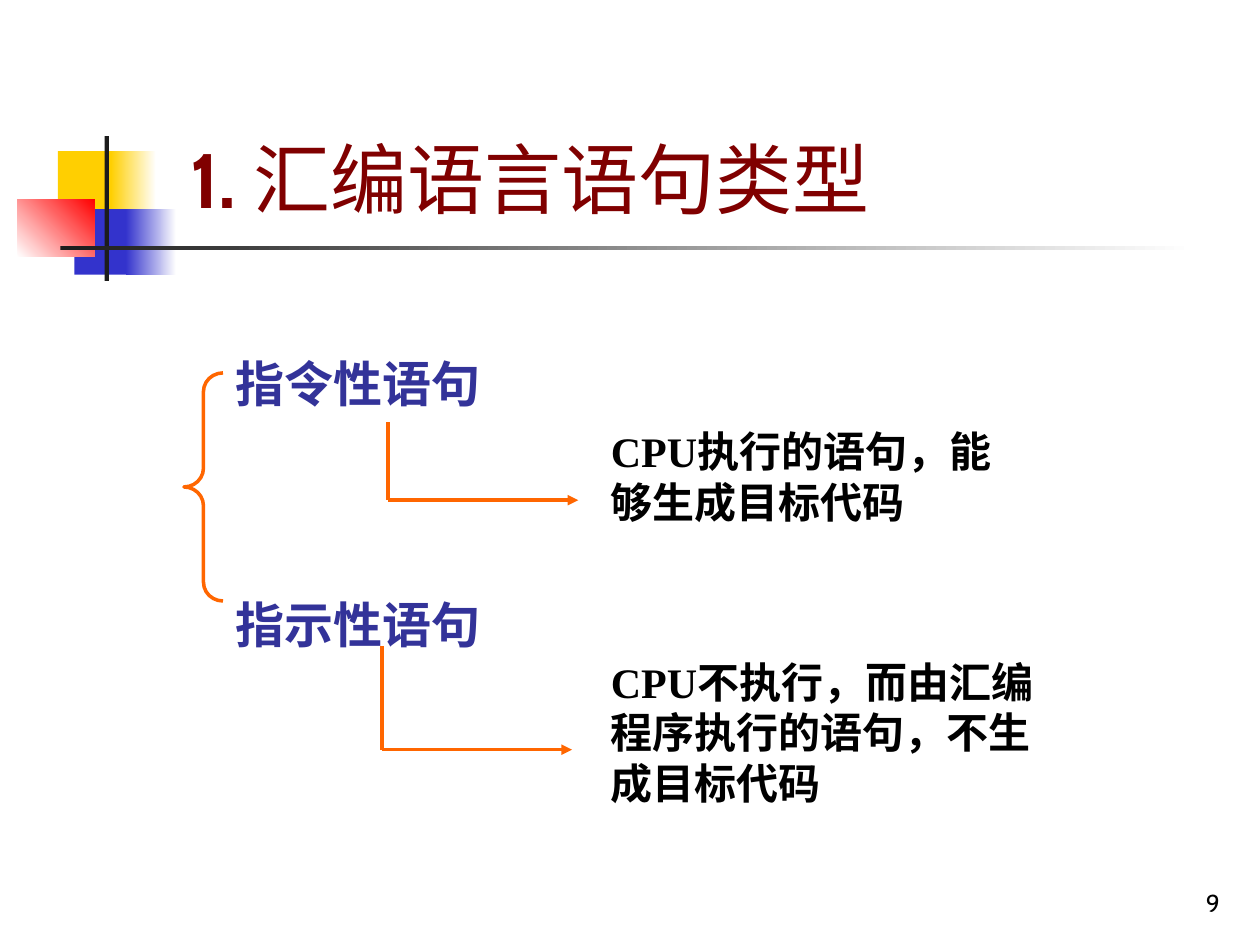
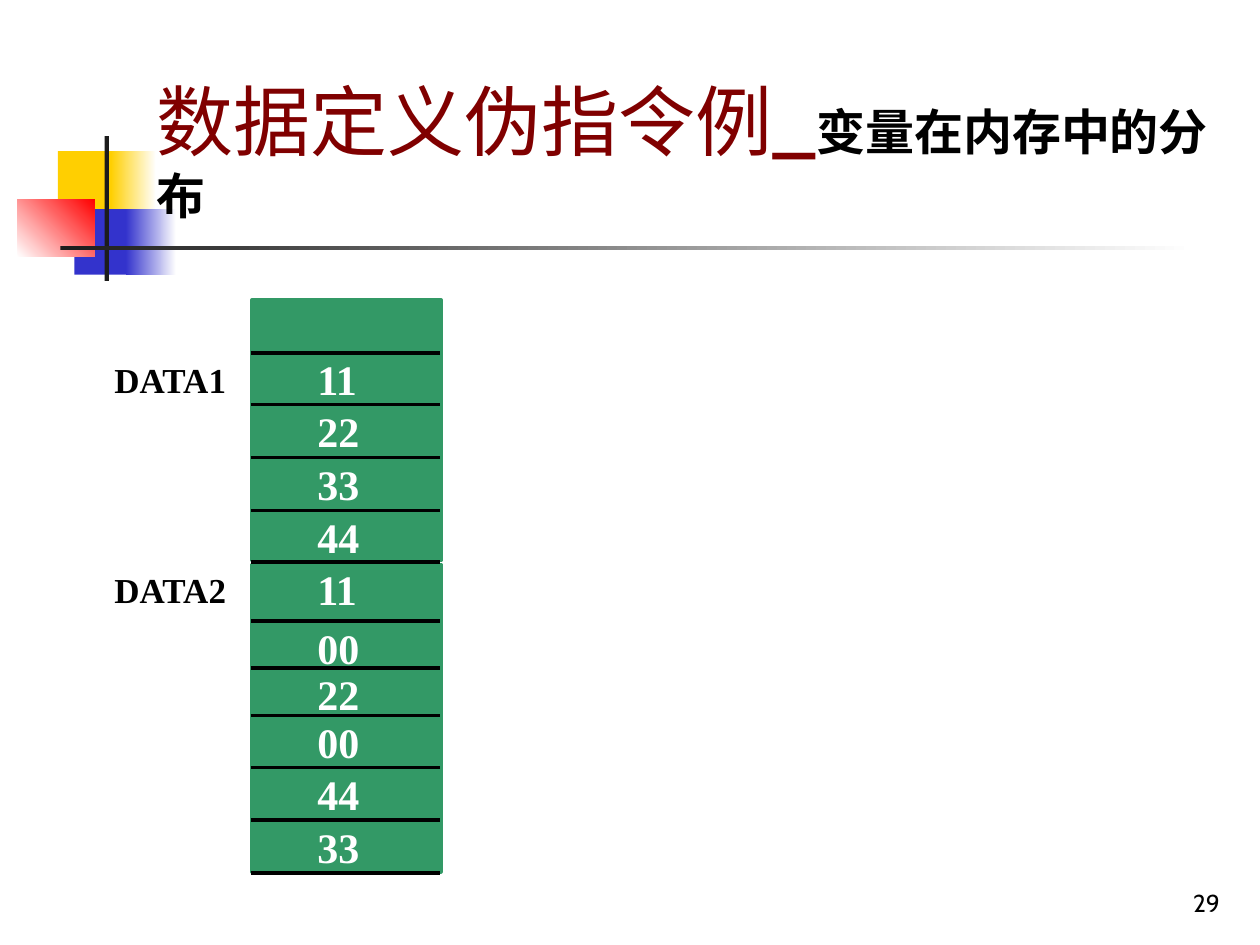
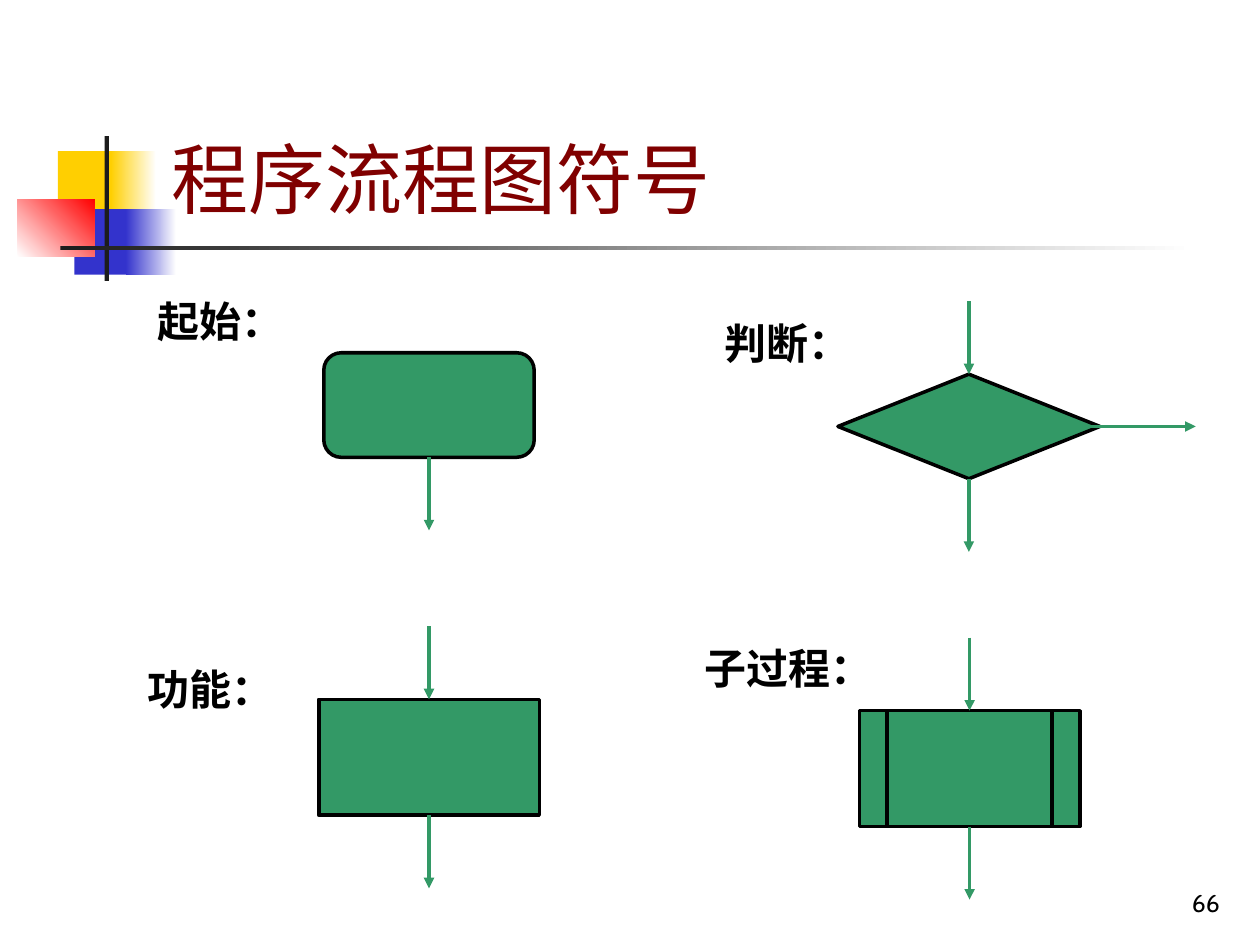
from lxml.etree import SubElement
from pptx import Presentation
from pptx.dml.color import RGBColor
from pptx.enum.shapes import MSO_CONNECTOR, MSO_SHAPE
from pptx.enum.text import MSO_ANCHOR, MSO_AUTO_SIZE, PP_ALIGN
from pptx.oxml.ns import qn
from pptx.util import Inches, Pt

COLUMNS, ROWS = 100, 75
CELL = Inches(0.1)
SANS, SERIF = "Cabin", "Times New Roman"
BLACK = RGBColor(0x00, 0x00, 0x00)
WHITE = RGBColor(0xFF, 0xFF, 0xFF)
MAROON = RGBColor(0x80, 0x00, 0x00)
INDIGO = RGBColor(0x33, 0x33, 0x99)
GREEN = RGBColor(0x33, 0x99, 0x66)
ORANGE = RGBColor(0xFF, 0x66, 0x00)
YELLOW = RGBColor(0xFF, 0xCF, 0x01)
BLUE = RGBColor(0x33, 0x33, 0xCC)
RED = RGBColor(0xFF, 0x00, 0x00)
CHARCOAL = RGBColor(0x1C, 0x1C, 0x1C)
TITLE_LAYOUT, LIST_LAYOUT = 5, 1

MOTIF = [
    ((4.6, 12, 4.8, 5.2), (YELLOW,), 0),
    ((8.8, 12, 3.6, 5.2), (YELLOW, WHITE), 0),
    ((5.9, 16.6, 4.6, 5.2), (BLUE,), 0),
    ((10, 16.6, 4, 5.2), (BLUE, WHITE), 0),
    ((1.4, 15.8, 6.1, 4.6), (WHITE, RED), 45),
    ((8.3, 10.8, 0.35, 11.5), (CHARCOAL,), 0),
    ((4.8, 19.5, 90, 0.35), (CHARCOAL, WHITE), 0),
]


def cells(*counts):
    """Turn grid cells into lengths."""
    return [round(count * CELL) for count in counts]


def add_span(para, text, size=24, color=BLACK, font=SERIF, bold=True):
    """Append one formatted run to a paragraph."""
    span = para.add_run()
    span.text = text
    span.font.size = Pt(size)
    span.font.name = font
    span.font.bold = bold
    span.font.color.rgb = color


def add_label(shapes, box, text, align=PP_ALIGN.LEFT, anchor=MSO_ANCHOR.TOP, **style):
    """Add a wrapping text box holding one paragraph."""
    frame = shapes.add_textbox(*cells(*box)).text_frame
    frame.word_wrap = True
    frame.vertical_anchor = anchor
    para = frame.paragraphs[0]
    para.alignment = align
    add_span(para, text, **style)


def add_figure(shapes, kind, box, fill=None, line=None):
    """Add a preset shape with an optional fill and outline."""
    shape = shapes.add_shape(kind, *cells(*box))
    shape.shadow.inherit = False
    if fill is None:
        shape.fill.background()
    else:
        shape.fill.solid()
        shape.fill.fore_color.rgb = fill
    if line is None:
        shape.line.fill.background()
    else:
        shape.line.color.rgb = line
        shape.line.width = Pt(2)
    return shape


def add_line(shapes, start, end, color, arrow=False):
    """Draw a straight line, with an arrowhead at its end if asked."""
    connector = shapes.add_connector(MSO_CONNECTOR.STRAIGHT, *cells(*start, *end))
    connector.line.color.rgb = color
    connector.line.width = Pt(2)
    properties = connector.element.spPr
    if arrow:
        SubElement(properties.find(qn("a:ln")), qn("a:tailEnd"), type="triangle")
    SubElement(properties, qn("a:effectLst"))


def build_master(deck, slide):
    """Draw the motif and move it to the slide master."""
    for number, (box, colors, angle) in enumerate(MOTIF, start=101):
        shape = add_figure(slide.shapes, MSO_SHAPE.RECTANGLE, box, colors[0])
        if len(colors) > 1:
            shape.fill.gradient()
            shape.fill.gradient_angle = angle
            for stop, color, position in zip(shape.fill.gradient_stops, colors, (0, 1)):
                stop.color.rgb = color
                stop.position = position
        shape.element.nvSpPr.cNvPr.set("id", str(number))
        deck.slide_master.shapes.element.append(shape.element)


def place(holder, box):
    """Move a placeholder and fix its text size."""
    holder.left, holder.top, holder.width, holder.height = cells(*box)
    holder.text_frame.word_wrap = True
    holder.text_frame.auto_size = MSO_AUTO_SIZE.NONE


def add_page(deck, layout, number, box, spans):
    """Add a slide with its title and page number."""
    page = deck.slides.add_slide(deck.slide_layouts[layout])
    title = page.shapes.title
    place(title, box)
    title.text_frame.vertical_anchor = MSO_ANCHOR.BOTTOM
    para = title.text_frame.paragraphs[0]
    para.alignment = PP_ALIGN.LEFT
    for text, style in spans:
        add_span(para, text, **{"size": 44, "color": MAROON, "font": SANS, "bold": False, **style})
    add_label(page.shapes, (COLUMNS - 23, ROWS - 6.7, 20.8, 5), number,
              PP_ALIGN.RIGHT, MSO_ANCHOR.BOTTOM, size=14, font=SANS, bold=False)
    return page


def add_statement_list(page, box, items, gap):
    """Fill the body placeholder with the statement kinds, set apart by a gap."""
    body = page.placeholders[1]
    place(body, box)
    for index, text in enumerate(items):
        para = body.text_frame.paragraphs[0] if index == 0 else body.text_frame.add_paragraph()
        properties = para._p.get_or_add_pPr()
        properties.set("marL", "0")
        properties.set("indent", "0")
        SubElement(properties, qn("a:buNone"))
        para.line_spacing = 1.1
        para.space_before = Pt(gap if index else 0)
        para.space_after = Pt(1.8)
        add_span(para, text, size=28, color=INDIGO, font=SANS)


def add_explanation(page, corner, drop, text, box):
    """Lead an elbow arrow down and right to an explanation."""
    left, top = corner
    bend = (left, top + drop)
    add_line(page.shapes, corner, bend, ORANGE)
    add_line(page.shapes, bend, (left + 15.1, top + drop), ORANGE, arrow=True)
    add_label(page.shapes, box, text)


def add_memory_block(page, box, name, edges, values):
    """Draw a named run of memory cells divided at the given edges."""
    left, top, width, height = box
    shapes = page.shapes.add_group_shape().shapes
    add_figure(shapes, MSO_SHAPE.RECTANGLE, box, GREEN, GREEN)
    for edge in edges:
        add_line(shapes, (left - 0.1, top + edge), (left + width - 0.1, top + edge), BLACK)
    add_label(shapes, (left - 11.9, top + edges[0], 12, 4.4), name, size=20)
    for edge, value in zip(edges, values):
        add_label(shapes, (left + 4.2, top + edge - 0.4, 8, 5), value, color=WHITE)


def add_flow_symbol(page, kind, box, name, offset, ways):
    """Draw a flowchart symbol with its name and its arrows."""
    left, top, width, height = box
    center, middle = left + width / 2, top + height / 2
    right, bottom = left + width, top + height
    arrows = {
        "in": ((center, top - 5.8), (center, top)),
        "out": ((center, bottom), (center, bottom + 5.8)),
        "side": ((right - 0.8, middle), (right + 7.6, middle)),
    }
    add_figure(page.shapes, kind, box, GREEN, BLACK)
    for way in ways:
        add_line(page.shapes, *arrows[way], GREEN, arrow=True)
    add_label(page.shapes, (left + offset[0], top + offset[1], 16.7, 5), name)


def build_statement_page(deck):
    """Build the slide on the kinds of statement."""
    page = add_page(deck, LIST_LAYOUT, "9", (14.1, 9.1, 69.7, 9.2),
                    [("1. ", {"bold": True}), ("汇编语言语句类型", {})])
    add_statement_list(page, (17.7, 27.1, 30.8, 31.7), ["指令性语句", "指示性语句"], 99)
    brace = add_figure(page.shapes, MSO_SHAPE.LEFT_BRACE, (14.6, 29.6, 3.1, 18.1), line=ORANGE)
    brace.adjustments[0] = 0.48
    add_explanation(page, (30.8, 33.5), 6.2, "CPU执行的语句，能够生成目标代码",
                    (47.5, 33.3, 34.2, 9))
    add_explanation(page, (30.3, 51.3), 8.2, "CPU不执行，而由汇编程序执行的语句，不生成目标代码",
                    (47.5, 51.6, 37.5, 13))
    return page


def build_memory_page(deck):
    """Build the slide on variables in memory."""
    page = add_page(deck, TITLE_LAYOUT, "29", (11.4, 2.3, 86.4, 16),
                    [("数据定义伪指令例_", {}),
                     ("变量在内存中的分布", {"size": 28, "color": BLACK, "bold": True})])
    add_memory_block(page, (20, 23.8, 15, 20.7), "DATA1",
                     [4.2, 8.3, 12.5, 16.7], ["11", "22", "33", "44"])
    add_memory_block(page, (20, 44.8, 15, 24.4), "DATA2",
                     [-0.2, 4.5, 8.2, 12, 16.1, 20.3, 24.5],
                     ["11", "00", "22", "00", "44", "33"])


def build_flowchart_page(deck):
    """Build the slide on flowchart symbols."""
    page = add_page(deck, TITLE_LAYOUT, "66", (12.6, 2.3, 85.2, 16), [("程序流程图符号", {})])
    add_flow_symbol(page, MSO_SHAPE.FLOWCHART_ALTERNATE_PROCESS, (25.7, 28, 16.7, 8.3),
                    "起始：", (-14.2, -5), ["out"])
    add_flow_symbol(page, MSO_SHAPE.FLOWCHART_DECISION, (66.5, 29.7, 20.8, 8.3),
                    "判断：", (-10, -5), ["in", "out", "side"])
    add_flow_symbol(page, MSO_SHAPE.FLOWCHART_PROCESS, (25.3, 55.5, 17.5, 9.2),
                    "功能：", (-14.6, -3.3), ["in", "out"])
    add_flow_symbol(page, MSO_SHAPE.FLOWCHART_PREDEFINED_PROCESS, (68.2, 56.4, 17.5, 9.2),
                    "子过程：", (-13.3, -5.9), ["in", "out"])


def main():
    """Build and save the deck."""
    deck = Presentation()
    deck.slide_width, deck.slide_height = cells(COLUMNS, ROWS)
    build_master(deck, build_statement_page(deck))
    build_memory_page(deck)
    build_flowchart_page(deck)
    deck.save("out.pptx")


if __name__ == "__main__":
    main()
